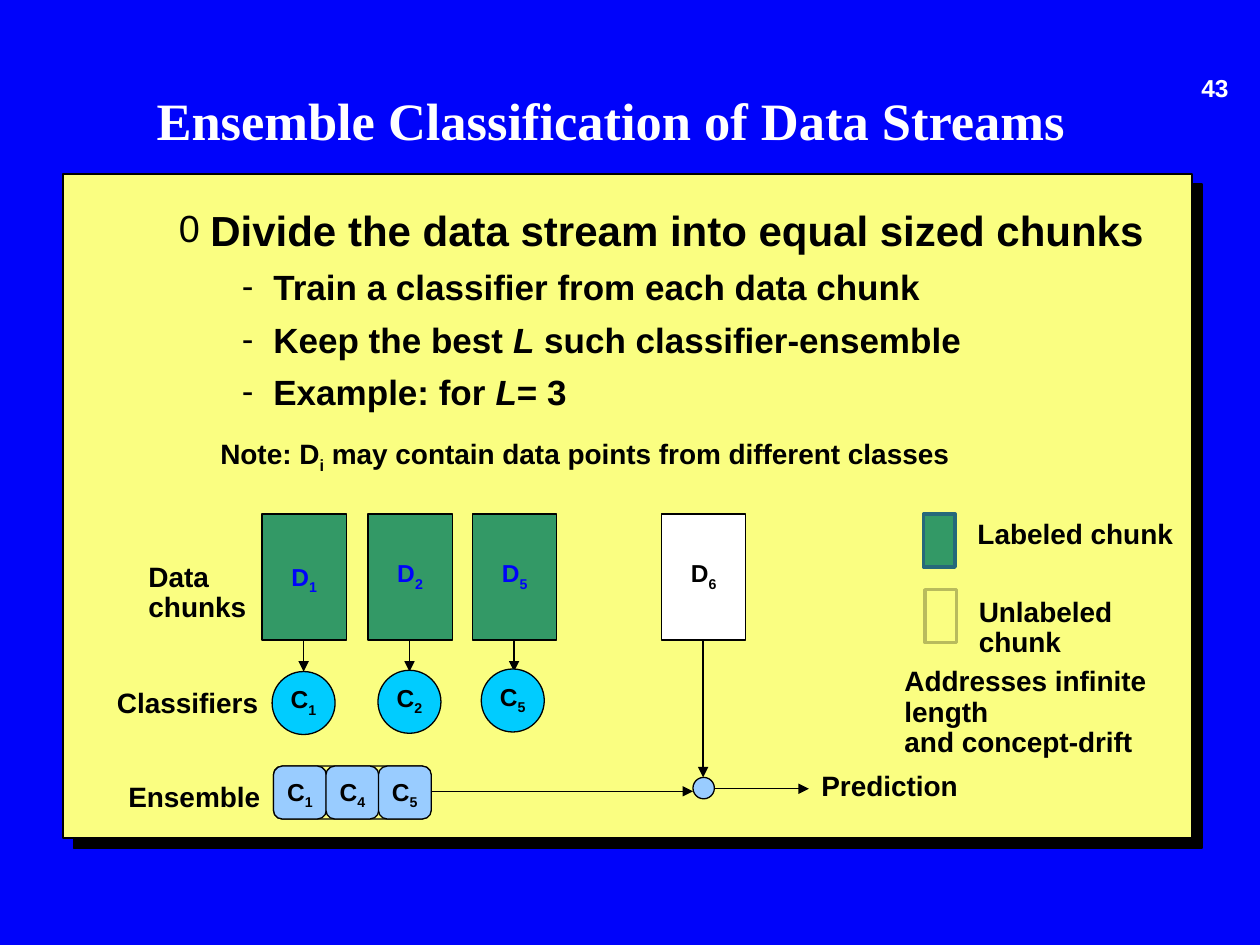
from typing import NamedTuple, Optional

from lxml.etree import SubElement
from pptx import Presentation
from pptx.dml.color import RGBColor
from pptx.enum.shapes import MSO_CONNECTOR as Connector, MSO_SHAPE as Preset
from pptx.enum.text import MSO_ANCHOR as Anchor, PP_ALIGN as Align
from pptx.oxml.ns import qn
from pptx.util import Inches, Pt

COLORS = {
    "blue": "0003FA", "panel": "FAFE81", "black": "000000", "white": "FFFFFF",
    "green": "339966", "teal": "26697A", "olive": "B8BB5D",
    "cyan": "00CCFF", "sky": "99CCFF",
}
ROUNDING = 0.167


class Box(NamedTuple):
    left: float
    top: float
    width: float
    height: float


class Piece(NamedTuple):
    text: str
    italic: bool = False
    subscript: bool = False


class Style(NamedTuple):
    size: float
    color: str = "black"
    font: str = "Arial"
    align: Align = Align.LEFT
    spacing: float = 0.9


class Label(NamedTuple):
    box: Box
    lines: list[list[Piece]]
    wrap: bool = True


class Bullet(NamedTuple):
    pieces: list[Piece]
    size: float
    level: int
    indent: float
    spacing: float
    mark: str
    scale: int


class Chunk(NamedTuple):
    index: str
    left: float
    inset: float
    circle_left: float
    circle_top: float


LABEL = Style(16)
SYMBOL = Style(14, align=Align.CENTER)
LABELS = [
    Label(Box(1.08, 4.42, 1.08, 0.58), [[Piece("Data chunks")]]),
    Label(Box(0.83, 5.42, 1.33, 0.34), [[Piece("Classifiers")]]),
    Label(Box(0.92, 6.17, 1.25, 0.34), [[Piece("Ensemble")]]),
    Label(Box(6.42, 6.08, 1.58, 0.34), [[Piece("Prediction")]]),
    Label(Box(7.66, 4.08, 1.84, 0.34), [[Piece("Labeled chunk")]]),
    Label(Box(7.67, 4.7, 1.92, 0.58), [[Piece("Unlabeled chunk")]]),
    Label(Box(7.08, 5.25, 2.75, 0.82),
          [[Piece("Addresses infinite length")], [Piece("and concept-drift")]]),
    Label(Box(1.65, 3.42, 5.99, 0.38),
          [[Piece("Note: D"), Piece("i", subscript=True),
            Piece(" may contain data points from different classes")]], False),
]
STEPS = [
    [Piece("Train a classifier from each data chunk")],
    [Piece("Keep the best "), Piece("L", italic=True), Piece(" such classifier-ensemble")],
    [Piece("Example: for "), Piece("L", italic=True), Piece("= 3")],
]
BULLETS = [
    Bullet([Piece("Divide the data stream into equal sized chunks")], 24, 0, 0.5, 22, "0", 90),
    *(Bullet(step, 20, 1, 1, 24, "-", 100) for step in STEPS),
]
CHUNKS = [
    Chunk("1", 2.08, 0.05, 2.16, 5.33),
    Chunk("2", 2.92, 0, 3, 5.32),
    Chunk("5", 3.75, 0, 3.82, 5.31),
]
ENSEMBLE = ["1", "4", "5"]


def rgb(name: str) -> RGBColor:
    return RGBColor.from_string(COLORS[name])


def write_pieces(paragraph, pieces: list[Piece], style: Style) -> None:
    paragraph.alignment = style.align
    paragraph.line_spacing = style.spacing
    for piece in pieces:
        run = paragraph.add_run()
        run.text = piece.text
        font = run.font
        font.name, font.size, font.bold = style.font, Pt(style.size), True
        font.italic = piece.italic
        font.color.rgb = rgb(style.color)
        if piece.subscript:
            run._r.get_or_add_rPr().set("baseline", "-25000")


def set_frame(frame, wrap: bool, anchor: Anchor, side: float = 0.1,
              top: float = 0.05, bottom: float = 0.05) -> None:
    frame.word_wrap, frame.vertical_anchor = wrap, anchor
    frame.margin_left = frame.margin_right = Inches(side)
    frame.margin_top, frame.margin_bottom = Inches(top), Inches(bottom)


def add_text(slide, label: Label, style: Style, anchor: Anchor = Anchor.TOP) -> None:
    frame = slide.shapes.add_textbox(*map(Inches, label.box)).text_frame
    set_frame(frame, label.wrap, anchor)
    for position, pieces in enumerate(label.lines):
        paragraph = frame.add_paragraph() if position else frame.paragraphs[0]
        write_pieces(paragraph, pieces, style)


def add_figure(slide, preset: Preset, box: Box, fill: Optional[str],
               line: str = "black", weight: float = 0.75):
    figure = slide.shapes.add_shape(preset, *map(Inches, box))
    figure.shadow.inherit = False
    if fill:
        figure.fill.solid()
        figure.fill.fore_color.rgb = rgb(fill)
    else:
        figure.fill.background()
    figure.line.color.rgb = rgb(line)
    figure.line.width = Pt(weight)
    if preset == Preset.ROUNDED_RECTANGLE:
        figure.adjustments[0] = ROUNDING
    return figure


def add_symbol(slide, preset: Preset, box: Box, fill: str, letter: str, index: str,
               color: str = "black", inset: float = 0) -> None:
    frame = add_figure(slide, preset, box, fill).text_frame
    set_frame(frame, False, Anchor.MIDDLE, top=inset)
    write_pieces(frame.paragraphs[0], [Piece(letter), Piece(index, subscript=True)],
                 SYMBOL._replace(color=color))


def add_arrow(slide, x1: float, y1: float, x2: float, y2: float) -> None:
    arrow = slide.shapes.add_connector(Connector.STRAIGHT, *map(Inches, (x1, y1, x2, y2)))
    arrow.line.color.rgb = rgb("black")
    arrow.line.width = Pt(0.75)
    SubElement(arrow.line._get_or_add_ln(), qn("a:tailEnd"), type="triangle")
    SubElement(arrow._element.spPr, qn("a:effectLst"))


def add_panel(slide) -> None:
    panel = add_figure(slide, Preset.RECTANGLE, Box(0.5, 1.38, 8.96, 5.27), "panel", weight=1)
    effects = panel._element.spPr.find(qn("a:effectLst"))
    shadow = SubElement(effects, qn("a:outerShdw"), dist=str(Pt(8.5)), dir="2700000",
                        algn="ctr", rotWithShape="0")
    SubElement(shadow, qn("a:srgbClr"), val=COLORS["black"])


def add_bullets(slide, box: Box) -> None:
    frame = slide.shapes.add_textbox(*map(Inches, box)).text_frame
    set_frame(frame, True, Anchor.TOP, side=0.09)
    for position, bullet in enumerate(BULLETS):
        paragraph = frame.add_paragraph() if position else frame.paragraphs[0]
        paragraph.level = bullet.level
        write_pieces(paragraph, bullet.pieces, Style(bullet.size, spacing=Pt(bullet.spacing)))
        paragraph.space_after = Pt(6)
        properties = paragraph._p.get_or_add_pPr()
        properties.set("marL", str(Inches(bullet.indent)))
        properties.set("indent", str(Inches(-0.25)))
        tint = SubElement(properties, qn("a:buClr"))
        SubElement(tint, qn("a:srgbClr"), val=COLORS["black"])
        SubElement(properties, qn("a:buSzPct"), val=str(bullet.scale * 1000))
        SubElement(properties, qn("a:buFont"), typeface="Arial")
        SubElement(properties, qn("a:buChar"), char=bullet.mark)


def main() -> None:
    """Build the slide on ensemble classification of data streams."""
    deck = Presentation()
    deck.slide_width, deck.slide_height = Inches(10), Inches(7.5)
    slide = deck.slides.add_slide(deck.slide_layouts[6])
    slide.background.fill.solid()
    slide.background.fill.fore_color.rgb = rgb("blue")

    add_panel(slide)
    add_text(slide, Label(Box(9.08, 0.42, 0.77, 0.38), [[Piece("43")]]),
             Style(14, "white", align=Align.RIGHT, spacing=1.47))
    add_text(slide, Label(Box(0.75, 0, 8.2, 1.25),
                          [[Piece("Ensemble Classification of Data Streams")]]),
             Style(30, "white", "Times New Roman", Align.CENTER, 0.87), Anchor.BOTTOM)
    add_bullets(slide, Box(1.08, 1.67, 8.83, 1.83))

    for chunk in CHUNKS:
        add_symbol(slide, Preset.RECTANGLE, Box(chunk.left, 4.08, 0.67, 1),
                   "green", "D", chunk.index, "blue", chunk.inset)
        center = chunk.left + 0.33
        add_arrow(slide, center, 5.08, center, 5.33)
        add_symbol(slide, Preset.OVAL, Box(chunk.circle_left, chunk.circle_top, 0.5, 0.5),
                   "cyan", "C", chunk.index)
    add_symbol(slide, Preset.RECTANGLE, Box(5.25, 4.08, 0.67, 1), "white", "D", "6")

    add_figure(slide, Preset.ROUNDED_RECTANGLE, Box(2.17, 6.08, 1.25, 0.42), None)
    for position, index in enumerate(ENSEMBLE):
        add_symbol(slide, Preset.ROUNDED_RECTANGLE,
                   Box(2.17 + position * 1.25 / 3, 6.08, 0.42, 0.42), "sky", "C", index, inset=0.05)
    add_figure(slide, Preset.OVAL, Box(5.5, 6.17, 0.17, 0.17), "sky")
    for ends in [(5.58, 5.08, 5.58, 6.17), (3.42, 6.28, 5.5, 6.28), (5.67, 6.26, 6.42, 6.26)]:
        add_arrow(slide, *ends)

    add_figure(slide, Preset.RECTANGLE, Box(7.33, 4.08, 0.25, 0.42), "green", "teal", 2)
    add_figure(slide, Preset.RECTANGLE, Box(7.34, 4.68, 0.25, 0.42), None, "olive", 2)
    for label in LABELS:
        add_text(slide, label, LABEL)
    deck.save("out.pptx")


if __name__ == "__main__":
    main()
